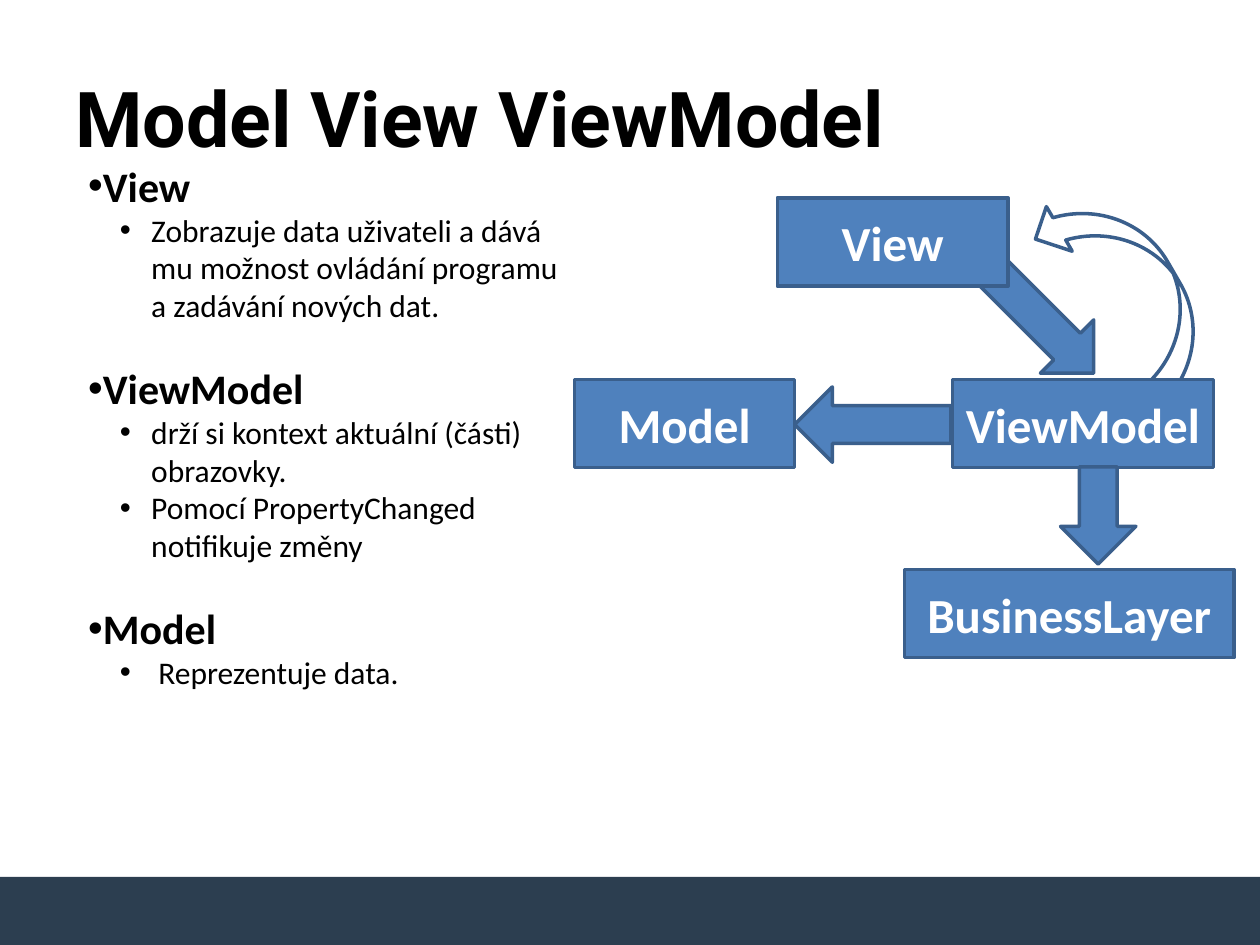
from lxml.etree import SubElement
from pptx import Presentation
from pptx.dml.color import RGBColor
from pptx.enum.shapes import MSO_SHAPE
from pptx.enum.text import MSO_ANCHOR, PP_ALIGN
from pptx.oxml.ns import qn
from pptx.util import Cm, Pt

BLUE, BLUE_EDGE, NAVY = "4F81BD", "3A5F8C", "2C3E50"
BLACK, WHITE = "000000", "FFFFFF"
BOX_HEIGHT, ARROW_HEIGHT = 1.78, 1.52

TOPICS = [
    ("View", ["Zobrazuje data uživateli a dává mu možnost ovládání programu "
              "a zadávání nových dat."]),
    ("ViewModel", ["drží si kontext aktuální (části) obrazovky.",
                   "Pomocí PropertyChanged notifikuje změny"]),
    ("Model", [" Reprezentuje data."]),
]

# Left, top, width and height in cm within the diagram; rotation in degrees
BACK_ARROW = ((7.95, 1.73, 2.95, ARROW_HEIGHT), 225)
FRONT_ARROWS = [
    ((4.44, 3.81, 3.15, ARROW_HEIGHT), 0),
    ((9.58, 5.64, 1.96, ARROW_HEIGHT), 270),
]
NOTIFY_ARROW = ((10.08, -0.46, 2.08, 4.75), 150)
COMPONENTS = [  # name, left, top, width
    ("Model", 0, 3.66, 4.44),
    ("ViewModel", 7.62, 3.66, 5.26),
    ("View", 4.09, 0, 4.65),
    ("BusinessLayer", 6.65, 7.49, 6.65),
]


def color(value):
    return RGBColor.from_string(value)


def set_all(target, values):
    for name, value in values.items():
        setattr(target, name, value)


def add_span(para, text, size, ink, font="Calibri", bold=True):
    span = para.add_run()
    span.text = text
    set_all(span.font, {"name": font, "size": Pt(size), "bold": bold})
    span.font.color.rgb = color(ink)


def add_figure(page, kind, box, fill=None, edge=None, rotation=0):
    shape = page.shapes.add_shape(kind, *map(Cm, box))
    shape.shadow.inherit = False
    shape.rotation = rotation
    if fill:
        shape.fill.solid()
        shape.fill.fore_color.rgb = color(fill)
    else:
        shape.fill.background()
    if edge:
        shape.line.color.rgb = color(edge)
        shape.line.width = Pt(2)
    else:
        shape.line.fill.background()
    return shape


def add_bullet(para, margin=0, indent=0):
    """Give the paragraph a round bullet; margin and indent are in cm."""
    properties = para._p.get_or_add_pPr()
    properties.set("marL", str(Cm(margin)))
    properties.set("indent", str(Cm(indent)))
    SubElement(properties, qn("a:buFont")).set("typeface", "Arial")
    SubElement(properties, qn("a:buChar")).set("char", "•")


def add_title(page, box):
    frame = page.shapes.add_textbox(*map(Cm, box)).text_frame
    set_all(frame, {"word_wrap": True, "vertical_anchor": MSO_ANCHOR.MIDDLE})
    add_span(frame.paragraphs[0], "Model View ViewModel", 44, BLACK, "Roboto")


def add_topics(page, box):
    frame = page.shapes.add_textbox(*map(Cm, box)).text_frame
    set_all(frame, {"word_wrap": True, "margin_left": Cm(0.94),
                    "margin_top": 0, "margin_bottom": 0})
    for number, (heading, details) in enumerate(TOPICS):
        para = frame.add_paragraph() if number else frame.paragraphs[0]
        para.space_before = Pt(22 if number else 0)
        add_bullet(para)
        add_span(para, heading, 24, BLACK)
        for detail in details:
            para = frame.add_paragraph()
            para.level = 1
            add_bullet(para, 1.27, -0.63)
            add_span(para, detail, 18, BLACK, bold=False)


def add_component(page, name, box):
    frame = add_figure(page, MSO_SHAPE.RECTANGLE, box, BLUE, BLUE_EDGE).text_frame
    set_all(frame, {"word_wrap": False, "vertical_anchor": MSO_ANCHOR.MIDDLE})
    frame.paragraphs[0].alignment = PP_ALIGN.CENTER
    add_span(frame.paragraphs[0], name, 28, WHITE)


def add_diagram(page, left, top):
    def place(box):
        return (left + box[0], top + box[1], *box[2:])

    def add_arrow(box, rotation):
        add_figure(page, MSO_SHAPE.LEFT_ARROW, place(box), BLUE, BLUE_EDGE, rotation)

    add_arrow(*BACK_ARROW)
    box, rotation = NOTIFY_ARROW
    notify = add_figure(page, MSO_SHAPE.CURVED_LEFT_ARROW, place(box),
                        edge=BLUE_EDGE, rotation=rotation)
    notify._element.spPr.xfrm.set("flipH", "1")
    for name, *spot in COMPONENTS:
        add_component(page, name, place((*spot, BOX_HEIGHT)))
    for arrow in FRONT_ARROWS:
        add_arrow(*arrow)


def main():
    deck = Presentation()
    set_all(deck, {"slide_width": Cm(25.4), "slide_height": Cm(19.05)})
    page = deck.slides.add_slide(deck.slide_layouts[6])
    add_figure(page, MSO_SHAPE.RECTANGLE, (0, 17.68, 25.4, 1.37), NAVY)
    add_title(page, (1.27, 0.76, 22.86, 3.18))
    add_topics(page, (0.84, 3.23, 10.77, 11.84))
    add_diagram(page, 11.58, 3.99)
    deck.save("out.pptx")


if __name__ == "__main__":
    main()
